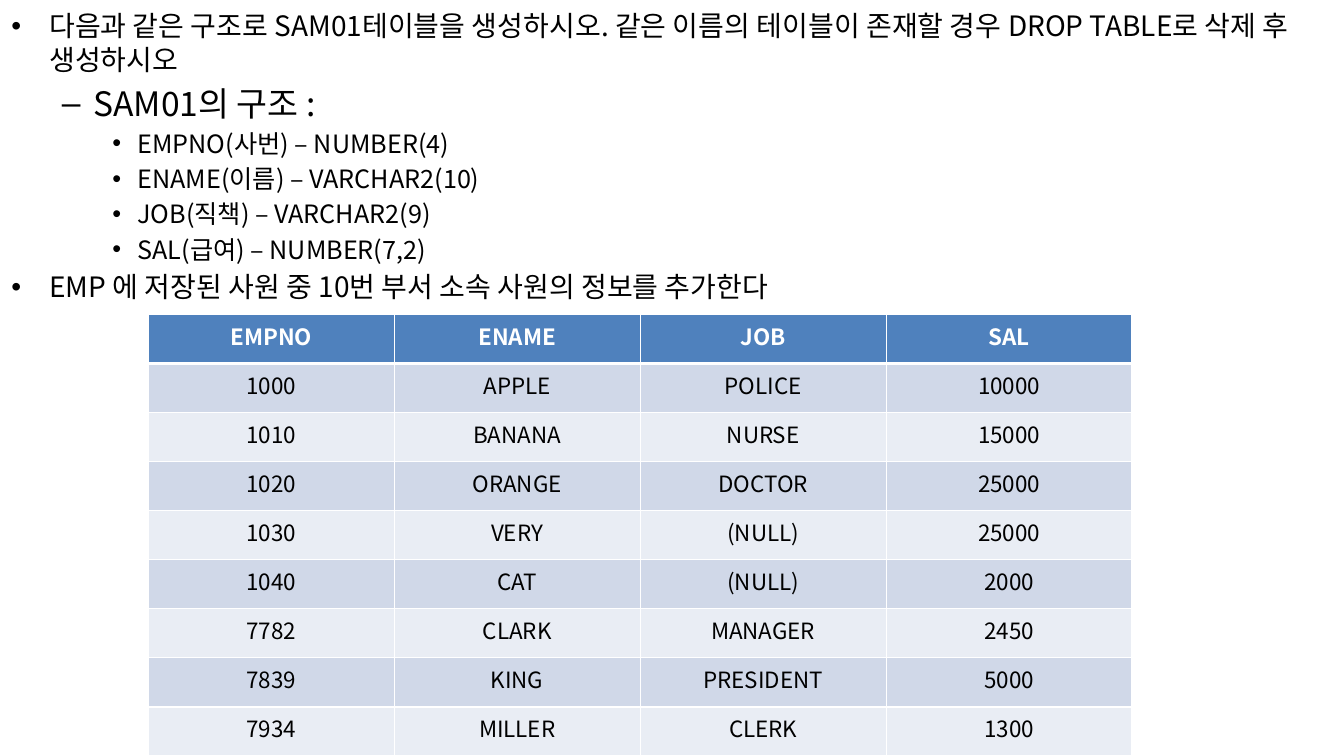
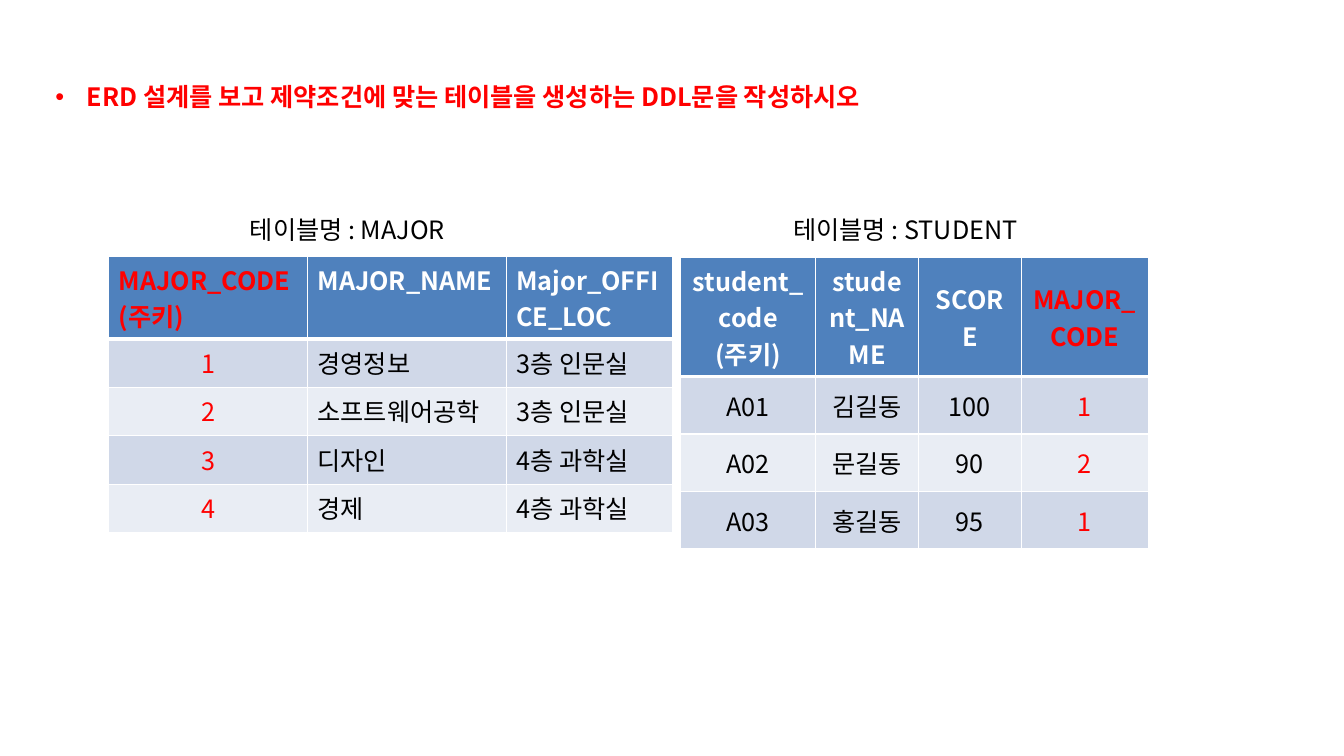
from lxml import etree
from pptx import Presentation
from pptx.dml.color import RGBColor
from pptx.enum.text import MSO_ANCHOR, MSO_AUTO_SIZE, PP_ALIGN
from pptx.oxml.ns import qn
from pptx.util import Inches, Pt

LEFT, MID = PP_ALIGN.LEFT, PP_ALIGN.CENTER
TOP, CENTRE = MSO_ANCHOR.TOP, MSO_ANCHOR.MIDDLE
FIXED = MSO_AUTO_SIZE.NONE
hue = RGBColor.from_string

# Shared look
FONT = "Noto Sans CJK KR"
RED, BLACK, WHITE = "FF0000", "000000", "FFFFFF"
HEAD, BANDS = "4F81BD", ("E9EDF4", "D0D8E8")
WIDE, HIGH = Inches(13.33), Inches(7.5)


def area(left, top, width, height):
    """Turn percent shares of the slide into lengths."""
    return [round(part * side / 100) for part, side in
            zip((left, top, width, height), (WIDE, HIGH, WIDE, HIGH))]


def write(frame, text, size, tone=BLACK, bold=False, align=LEFT):
    frame.text = text
    look = {"name": FONT, "size": Pt(size), "bold": bold}
    for line in frame.paragraphs:
        line.alignment = align
        for run in line.runs:
            for key, value in look.items():
                setattr(run.font, key, value)
            run.font.color.rgb = hue(tone)
            east = etree.SubElement(run._r.get_or_add_rPr(), qn("a:ea"))
            east.set("typeface", FONT)


deck = Presentation()
deck.slide_width, deck.slide_height = WIDE, HIGH

# Two slides with a body list each: place, size, colour, weight, text
lists = [
    ((0.1, 0.5, 99.9, 46.4), 20, BLACK, False, [
        (0, "다음과 같은 구조로 SAM01테이블을 생성하시오. 같은 이름의 테이블이 "
            "존재할 경우 DROP TABLE로 삭제 후 생성하시오"),
        (1, "SAM01의 구조 :"),
        (2, "EMPNO(사번) – NUMBER(4)"),
        (2, "ENAME(이름) – VARCHAR2(10)"),
        (2, "JOB(직책) – VARCHAR2(9)"),
        (2, "SAL(급여) – NUMBER(7,2)"),
        (0, "EMP 에 저장된 사원 중 10번 부서 소속 사원의 정보를 추가한다")]),
    ((3.38, 10.13, 67.52, 5.33), 18, RED, True, [
        (0, "ERD 설계를 보고 제약조건에 맞는 테이블을 생성하는 DDL문을 작성하시오")]),
]
for place, size, tone, bold, items in lists:
    slide = deck.slides.add_slide(deck.slide_layouts[1])
    title, body = slide.placeholders
    title._element.getparent().remove(title._element)
    body.left, body.top, body.width, body.height = area(*place)
    frame = body.text_frame
    write(frame, "\n".join(text for _, text in items), size, tone, bold)
    frame.auto_size = FIXED
    for line, (level, _) in zip(frame.paragraphs, items):
        line.level = level
        line.runs[0].font.size = Pt((size, 24, 18)[level])
first, second = deck.slides

# Tighter bullet on the single-line heading
lead = frame.paragraphs[0]
lead.space_before = Pt(0)
for key, value in {"marL": 0.31, "indent": -0.31}.items():
    lead._p.get_or_add_pPr().set(key, str(Inches(value)))

# Tables: columns and rows are percent shares; key is the red column
tables = [
    dict(slide=first, at=(11.03, 41.6), cols=[18.3] * 4, rows=[6.49] * 9,
         size=16, key=None, anchor=TOP, centred=True, data=[
             ("EMPNO", "ENAME", "JOB", "SAL"),
             ("1000", "APPLE", "POLICE", "10000"),
             ("1010", "BANANA", "NURSE", "15000"),
             ("1020", "ORANGE", "DOCTOR", "25000"),
             ("1030", "VERY", "(NULL)", "25000"),
             ("1040", "CAT", "(NULL)", "2000"),
             ("7782", "CLARK", "MANAGER", "2450"),
             ("7839", "KING", "PRESIDENT", "5000"),
             ("7934", "MILLER", "CLERK", "1300")]),
    dict(slide=second, at=(8.1, 33.87), cols=[14.78, 14.78, 12.38],
         rows=[6.4] * 5, size=18, key=0, anchor=TOP, centred=False, data=[
             ("MAJOR_CODE\n(주키)", "MAJOR_NAME", "Major_OFFICE_LOC"),
             ("1", "경영정보", "3층 인문실"),
             ("2", "소프트웨어공학", "3층 인문실"),
             ("3", "디자인", "4층 과학실"),
             ("4", "경제", "4층 과학실")]),
    dict(slide=second, at=(50.64, 34), cols=[10.05, 7.65, 7.65, 9.45],
         rows=[8.67] + [7.6] * 3, size=18, key=3, anchor=CENTRE,
         centred=True, data=[
             ("student_code\n(주키)", "student_NAME", "SCORE", "MAJOR_CODE"),
             ("A01", "김길동", "100", "1"),
             ("A02", "문길동", "90", "2"),
             ("A03", "홍길동", "95", "1")]),
]
for plan in tables:
    cols, rows, key = plan["cols"], plan["rows"], plan["key"]
    spot = area(*plan["at"], sum(cols), sum(rows))
    grid = plan["slide"].shapes.add_table(len(rows), len(cols), *spot).table
    for col, share in zip(grid.columns, cols):
        col.width = round(WIDE * share / 100)
    for row, share in zip(grid.rows, rows):
        row.height = round(HIGH * share / 100)
    for r, texts in enumerate(plan["data"]):
        for c, text in enumerate(texts):
            cell = grid.cell(r, c)
            top = r == 0
            tone = RED if c == key else WHITE if top else BLACK
            mid = plan["centred"] or (c == key and not top)
            write(cell.text_frame, text, plan["size"], tone, top,
                  MID if mid else LEFT)
            cell.vertical_anchor = plan["anchor"]
            # White rules, thicker under the header
            for side in "LRTB":
                thick = (r, side) in ((0, "B"), (1, "T"))
                rule = etree.SubElement(cell._tc.get_or_add_tcPr(),
                                        qn("a:ln" + side))
                rule.set("w", str(Pt(3 if thick else 1)))
                fill = etree.SubElement(rule, qn("a:solidFill"))
                etree.SubElement(fill, qn("a:srgbClr")).set("val", WHITE)
            cell.fill.solid()
            cell.fill.fore_color.rgb = hue(HEAD if top else BANDS[r % 2])

# Table captions
for left, width, name in ((17.85, 17.25, "MAJOR"), (58.29, 18.98, "STUDENT")):
    label = second.shapes.add_textbox(*area(left, 27.73, width, 5.33))
    write(label.text_frame, "테이블명 : " + name, 18)
    label.text_frame.word_wrap = False

deck.save("out.pptx")
